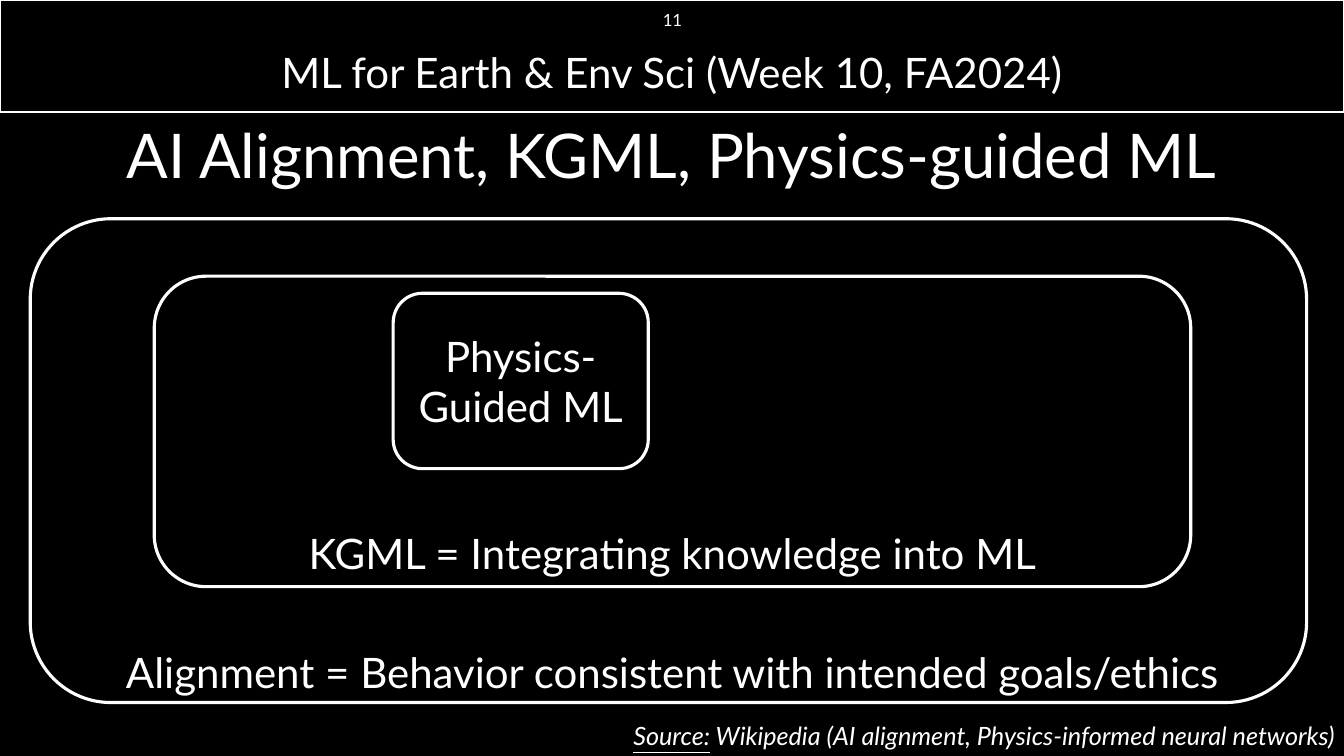
"""Build the slide that nests physics-guided ML inside KGML inside AI alignment."""
from pptx import Presentation
from pptx.dml.color import RGBColor
from pptx.enum.shapes import MSO_SHAPE as SHAPE
from pptx.enum.text import MSO_ANCHOR as ANCHOR, PP_ALIGN as ALIGN
from pptx.util import Inches, Pt

BLACK = RGBColor(0x00, 0x00, 0x00)
WHITE = RGBColor(0xFF, 0xFF, 0xFF)
WIDTH = 13.33


def write(s, text, size=30, align=ALIGN.CENTER, anchor=ANCHOR.TOP, italic=None, underlined=""):
    tf = s.text_frame
    tf.word_wrap = True
    tf.vertical_anchor = anchor
    p = tf.paragraphs[0]
    p.alignment = align
    for part in filter(None, (underlined, text)):
        r = p.add_run()
        r.text = part
        r.font.name = "Lato"
        r.font.size = Pt(size)
        r.font.color.rgb = WHITE
        r.font.italic = italic
        r.font.underline = True if part == underlined else None
    return p


def outline(sp, line_width):
    sp.shadow.inherit = False
    sp.fill.background()
    sp.line.color.rgb = WHITE
    sp.line.width = Pt(line_width)


prs = Presentation()
prs.slide_width, prs.slide_height = Inches(WIDTH), Inches(7.5)
slide = prs.slides.add_slide(prs.slide_layouts[5])
slide.background.fill.solid()
slide.background.fill.fore_color.rgb = BLACK
shapes = slide.shapes

title = shapes.title
title.left, title.top = Inches(0), Inches(1.14)
title.width, title.height = Inches(WIDTH), Inches(0.87)
p = write(title, "AI Alignment, KGML, Physics-guided ML", size=44, anchor=ANCHOR.MIDDLE)
p.line_spacing = 0.9

band = shapes.add_shape(SHAPE.RECTANGLE, 0, 0, Inches(WIDTH), Inches(1.11))
outline(band, 1)
band.fill.solid()
band.fill.fore_color.rgb = BLACK

course = shapes.add_textbox(0, Inches(0.41), Inches(WIDTH), Inches(0.61))
write(course, "ML for Earth & Env Sci (Week 10, FA2024)")
number = shapes.add_textbox(Inches(5.17), 0, Inches(3), Inches(0.4))
write(number, "11", size=12, anchor=ANCHOR.MIDDLE)

levels = [
    ((0.3, 2.17, 12.66, 4.8), (0.98, 6.36, 11.38, 0.61),
     "Alignment = Behavior consistent with intended goals/ethics"),
    ((1.53, 2.74, 10.28, 3.08), (1.53, 5.18, 10.28, 0.61),
     "KGML = Integrating knowledge into ML"),
    ((3.9, 2.91, 2.53, 1.74), (3.9, 3.23, 2.53, 1.11), "Physics-Guided ML"),
]
for frame, label, text in levels:
    outline(shapes.add_shape(SHAPE.ROUNDED_RECTANGLE, *map(Inches, frame)), 2.25)
    write(shapes.add_textbox(*map(Inches, label)), text)

source = shapes.add_textbox(Inches(1.67), Inches(7.1), Inches(11.67), Inches(0.4))
write(source, " Wikipedia (AI alignment, Physics-informed neural networks)",
      size=18, align=ALIGN.RIGHT, italic=True, underlined="Source:")

prs.save("out.pptx")
